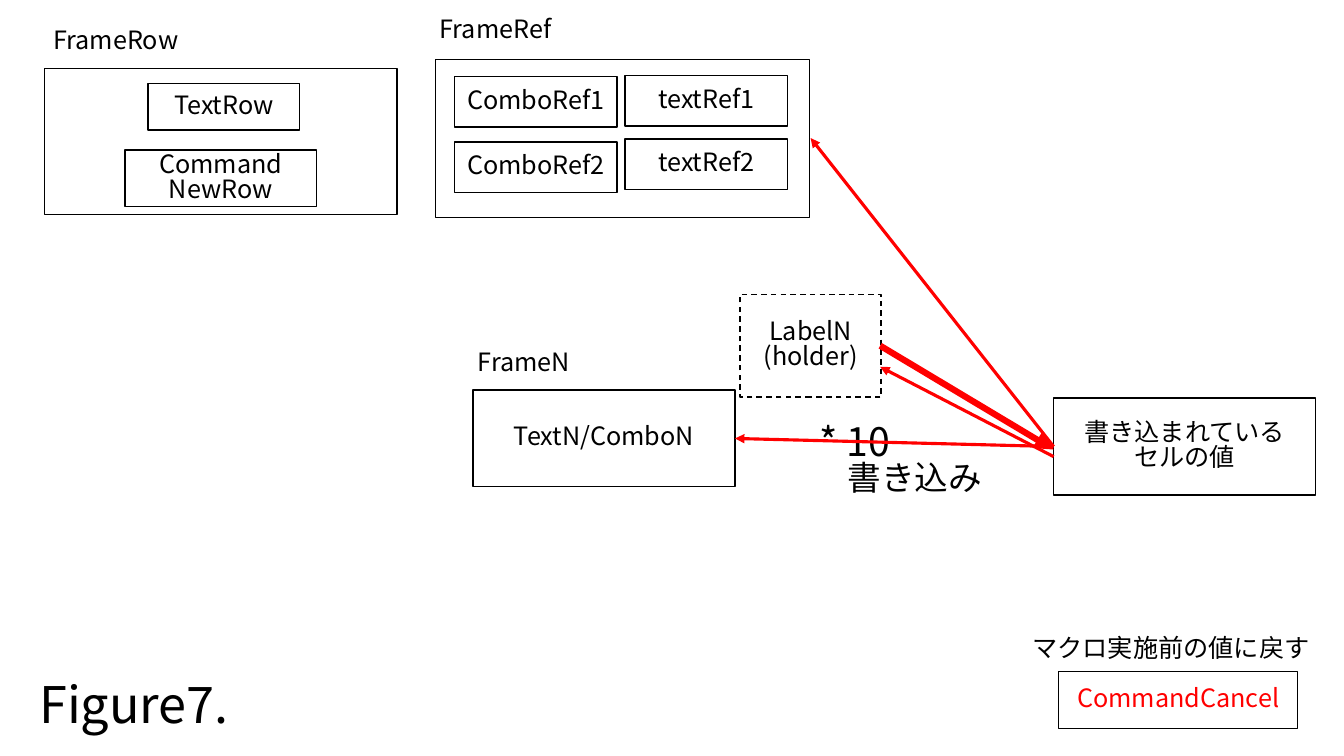
from lxml import etree
from pptx import Presentation
from pptx.dml.color import RGBColor
from pptx.enum.dml import MSO_LINE
from pptx.enum.shapes import MSO_CONNECTOR, MSO_SHAPE
from pptx.enum.text import MSO_ANCHOR, PP_ALIGN
from pptx.oxml.ns import qn
from pptx.util import Inches, Pt

RECTANGLE = MSO_SHAPE.RECTANGLE
STRAIGHT = MSO_CONNECTOR.STRAIGHT
DASH = MSO_LINE.DASH
MIDDLE, TOP = MSO_ANCHOR.MIDDLE, MSO_ANCHOR.TOP
CENTER, LEFT = PP_ALIGN.CENTER, PP_ALIGN.LEFT
FONT = "Noto Sans CJK JP"
BLACK, WHITE, RED = "000000", "FFFFFF", "FF0000"


def color(target, value):
    target.rgb = RGBColor.from_string(value)


def write(shape, text, size=18, font_color=BLACK, align=LEFT, anchor=TOP, spacing=0.9, wrap=True):
    frame = shape.text_frame
    frame.word_wrap = wrap
    frame.vertical_anchor = anchor
    for index, line in enumerate(text.split("\n")):
        paragraph = frame.add_paragraph() if index else frame.paragraphs[0]
        paragraph.alignment = align
        paragraph.line_spacing = spacing
        run = paragraph.add_run()
        run.text = line
        run.font.size = Pt(size)
        run.font.name = FONT
        color(run.font.color, font_color)
        east_asian = etree.SubElement(run.font._element, qn("a:ea"))
        east_asian.set("typeface", FONT)


prs = Presentation()
prs.slide_width, prs.slide_height = Inches(13.33), Inches(7.5)
slide = prs.slides.add_slide(prs.slide_layouts[6])
frame_ref = slide.shapes.add_group_shape()

ref_fields = [
    (frame_ref, f"{prefix}Ref{row + 1}", left, top + row * pitch, 1.61, 0.5, BLACK)
    for prefix, left, top, pitch in [("Combo", 4.51, 0.76, 0.65), ("text", 6.2, 0.75, 0.63)]
    for row in range(2)
]
boxes = [
    (slide, "", 0.44, 0.68, 3.5, 1.45, BLACK),
    (slide, "TextN/ComboN", 4.69, 3.87, 2.6, 0.96, BLACK),
    (slide, "LabelN\n(holder)", 7.34, 2.92, 1.4, 1.02, BLACK),
    (slide, "TextRow", 1.47, 0.83, 1.5, 0.46, BLACK),
    (slide, "Command\nNewRow", 1.24, 1.49, 1.9, 0.56, BLACK),
    (slide, "書き込まれている\nセルの値", 10.45, 3.95, 2.6, 0.96, BLACK),
    (slide, "CommandCancel", 10.5, 6.66, 2.37, 0.57, RED),
    (frame_ref, "", 4.32, 0.59, 3.71, 1.57, BLACK),
] + ref_fields
for parent, text, left, top, width, height, font_color in boxes:
    box = parent.shapes.add_shape(RECTANGLE, Inches(left), Inches(top), Inches(width), Inches(height))
    box.shadow.inherit = False
    box.fill.solid()
    color(box.fill.fore_color, WHITE)
    color(box.line.color, BLACK)
    box.line.width = Pt(1)
    if text.startswith("LabelN"):
        box.line.dash_style = DASH
    if text:
        write(box, text, font_color=font_color, align=CENTER, anchor=MIDDLE, spacing=0.82)

labels = [
    ("FrameRow", 0.43, 0.23, 1.73, 0.71, 18),
    ("FrameRef", 4.26, 0.12, 1.73, 0.71, 18),
    ("FrameN", 4.64, 3.42, 1.73, 0.71, 18),
    ("* 10", 8.03, 4.14, 1.4, 0.57, 28),
    ("書き込み", 8.31, 4.53, 1.57, 0.5, 24),
    ("マクロ実施前の値に戻す", 10.14, 6.26, 2.98, 0.4, 18),
    ("Figure7.", 0.29, 6.7, 2.31, 0.71, 36),
]
for text, left, top, width, height, size in labels:
    label = slide.shapes.add_textbox(Inches(left), Inches(top), Inches(width), Inches(height))
    write(label, text, size=size, wrap=text != "マクロ実施前の値に戻す")

arrows = [
    (8.73, 3.43, 10.45, 4.46, 4.5),
    (10.45, 4.43, 7.29, 4.35, 2.25),
    (10.45, 4.43, 8.04, 1.37, 2.25),
    (10.45, 4.53, 8.73, 3.64, 2.25),
]
for start_x, start_y, end_x, end_y, weight in arrows:
    arrow = slide.shapes.add_connector(
        STRAIGHT, Inches(start_x), Inches(start_y), Inches(end_x), Inches(end_y)
    )
    color(arrow.line.color, RED)
    arrow.line.width = Pt(weight)
    etree.SubElement(arrow.line._get_or_add_ln(), qn("a:tailEnd")).set("type", "triangle")
    etree.SubElement(arrow._element.spPr, qn("a:effectLst"))

prs.save("out.pptx")
